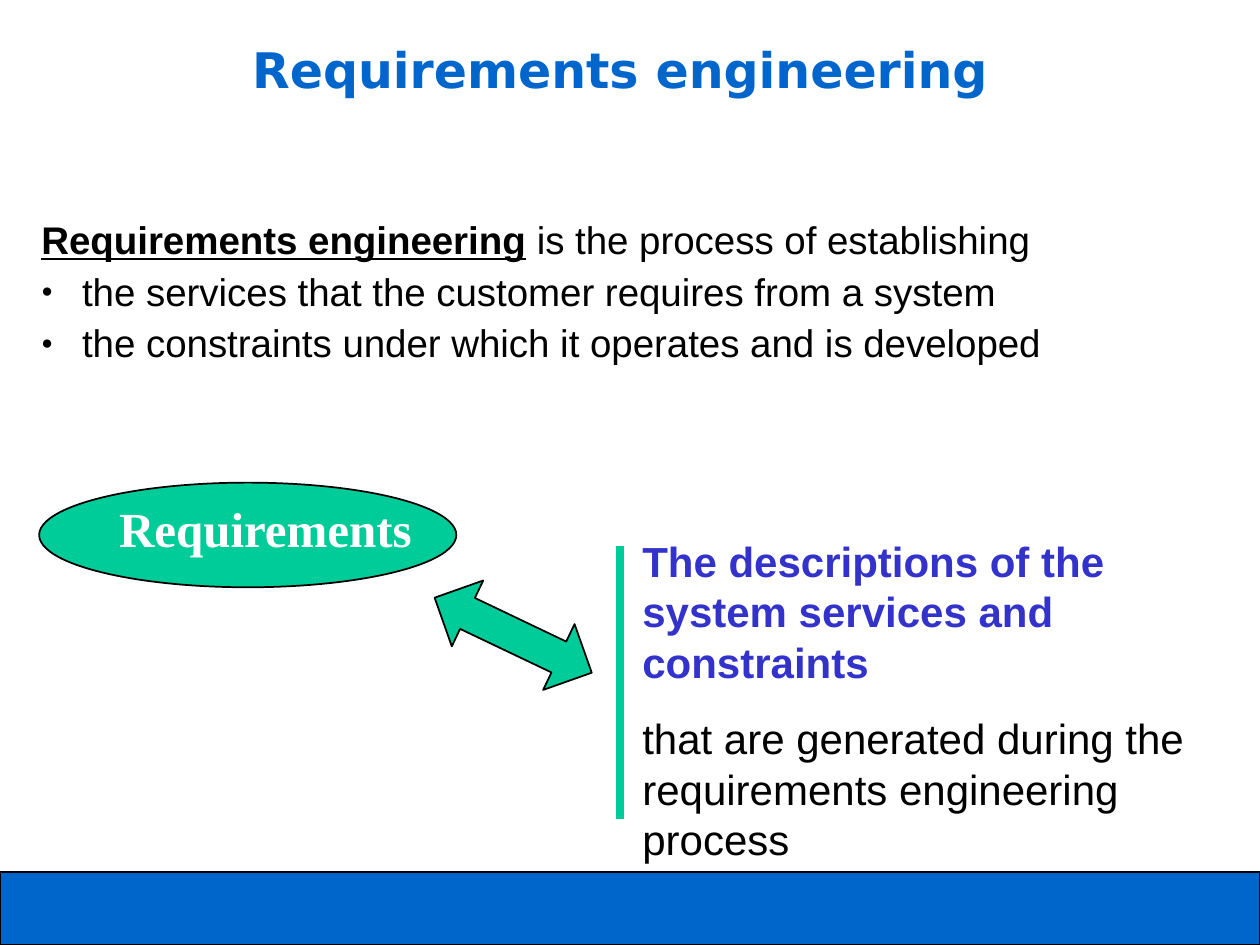
"""Build a slide that defines requirements engineering."""
from lxml import etree
from pptx import Presentation
from pptx import util as u
from pptx.dml.color import RGBColor
from pptx.enum import shapes, text
from pptx.oxml.ns import qn

BLUE = RGBColor(0x00, 0x66, 0xCC)
GREEN = RGBColor(0x00, 0xCC, 0x99)
INDIGO = RGBColor(0x33, 0x33, 0xCC)
BLACK = RGBColor(0, 0, 0)
WHITE = RGBColor(0xFF, 0xFF, 0xFF)


def place(item, box):
    """Move an item to a box of left, top, width and height in centimetres."""
    item.left, item.top, item.width, item.height = map(u.Cm, box)


def write(para, words, font="Arial", size=22, color=BLACK, bold=False, underline=False):
    """Add a formatted span of text to a paragraph."""
    span = para.add_run()
    span.text = words
    span.font.name = font
    span.font.size = u.Pt(size)
    span.font.color.rgb = color
    span.font.bold = bold
    span.font.underline = underline


def set_bullet(para, indent=0, sign=None):
    """Give a paragraph a hanging bullet, or none when no sign is given."""
    props = para._p.get_or_add_pPr()
    props.set("marL", str(u.Cm(indent)))
    props.set("indent", str(-u.Cm(indent)))
    if sign:
        color = etree.SubElement(props, qn("a:buClr"))
        etree.SubElement(color, qn("a:srgbClr"), val=str(BLACK))
        etree.SubElement(props, qn("a:buSzPct"), val="50000")
        etree.SubElement(props, qn("a:buChar"), char=sign)
    else:
        etree.SubElement(props, qn("a:buNone"))


def add_solid(page, kind, box, fill, line_width):
    """Add a filled preset shape with a black outline."""
    shape = page.shapes.add_shape(kind, *map(u.Cm, box))
    shape.shadow.inherit = False
    shape.fill.solid()
    shape.fill.fore_color.rgb = fill
    shape.line.color.rgb = BLACK
    shape.line.width = u.Pt(line_width)
    return shape


def add_text_frame(page, box):
    """Add a wrapping text box and return its frame."""
    frame = page.shapes.add_textbox(*map(u.Cm, box)).text_frame
    frame.word_wrap = True
    return frame


def fill_title(page, box):
    """Place and write the slide title."""
    title = page.shapes.title
    place(title, box)
    frame = title.text_frame
    frame.vertical_anchor = text.MSO_ANCHOR.BOTTOM
    para = frame.paragraphs[0]
    para.alignment = text.PP_ALIGN.CENTER
    write(para, "Requirements engineering", font="DejaVu Sans", size=28, color=BLUE, bold=True)


def fill_definition(page, box):
    """Write the definition and its two bullets in the body placeholder."""
    body = page.placeholders[1]
    place(body, box)
    frame = body.text_frame
    frame.auto_size = text.MSO_AUTO_SIZE.NONE
    lead = frame.paragraphs[0]
    write(lead, "Requirements engineering", bold=True, underline=True)
    write(lead, " is the process of establishing")
    set_bullet(lead)
    for words in ("the services that the customer requires from a system",
                  "the constraints under which it operates and is developed"):
        para = frame.add_paragraph()
        write(para, words)
        set_bullet(para, indent=0.82, sign="●")
    for para in frame.paragraphs:
        para.line_spacing = 0.9
        para.space_before = u.Pt(5.5)


def add_term(page, box):
    """Draw the green ellipse with its label."""
    left, top, width, height = box
    add_solid(page, shapes.MSO_SHAPE.OVAL, box, GREEN, 1)
    frame = add_text_frame(page, (left + 1.36, top + 0.2, width - 1.98, height - 0.66))
    write(frame.paragraphs[0], "Requirements", font="Times New Roman",
          size=28, color=WHITE, bold=True)


def add_double_arrow(page, box):
    """Draw the tilted arrow between the term and its meaning."""
    arrow = add_solid(page, shapes.MSO_SHAPE.UP_DOWN_ARROW, box, GREEN, 1)
    arrow.adjustments[0] = 0.5
    arrow.adjustments[1] = 0.47
    arrow.rotation = 295.5


def add_meaning(page, box):
    """Write the meaning of the term beside a green rule."""
    left, top, width, height = box
    frame = add_text_frame(page, box)
    first, second = frame.paragraphs[0], frame.add_paragraph()
    write(first, "The descriptions of the system services and constraints",
          size=24, color=INDIGO, bold=True)
    write(second, "that are generated during the requirements engineering process", size=24)
    for para in (first, second):
        para.space_before = u.Pt(15)
        para.line_spacing = 1.0
    rule_x = u.Cm(left - 0.2)
    rule = page.shapes.add_connector(shapes.MSO_CONNECTOR.STRAIGHT, rule_x, u.Cm(top + 0.33),
                                     rule_x, u.Cm(top + height - 1.04))
    rule.line.color.rgb = GREEN
    rule.line.width = u.Pt(4.5)
    etree.SubElement(rule._element.spPr, qn("a:effectLst"))


def main():
    """Assemble and save the deck."""
    deck = Presentation()
    deck.slide_width, deck.slide_height = u.Cm(25.4), u.Cm(19.05)
    page = deck.slides.add_slide(deck.slide_layouts[1])
    add_solid(page, shapes.MSO_SHAPE.RECTANGLE, (0, 17.58, 25.4, 1.47), BLUE, 0.75)
    fill_title(page, (1.7, 0, 21.59, 2.11))
    fill_definition(page, (0.58, 4.34, 24.03, 3.18))
    add_term(page, (0.79, 9.73, 8.41, 2.11))
    add_double_arrow(page, (9.61, 11.05, 1.47, 3.51))
    add_meaning(page, (12.7, 10.67, 12.12, 6.88))
    deck.save("out.pptx")


if __name__ == "__main__":
    main()
